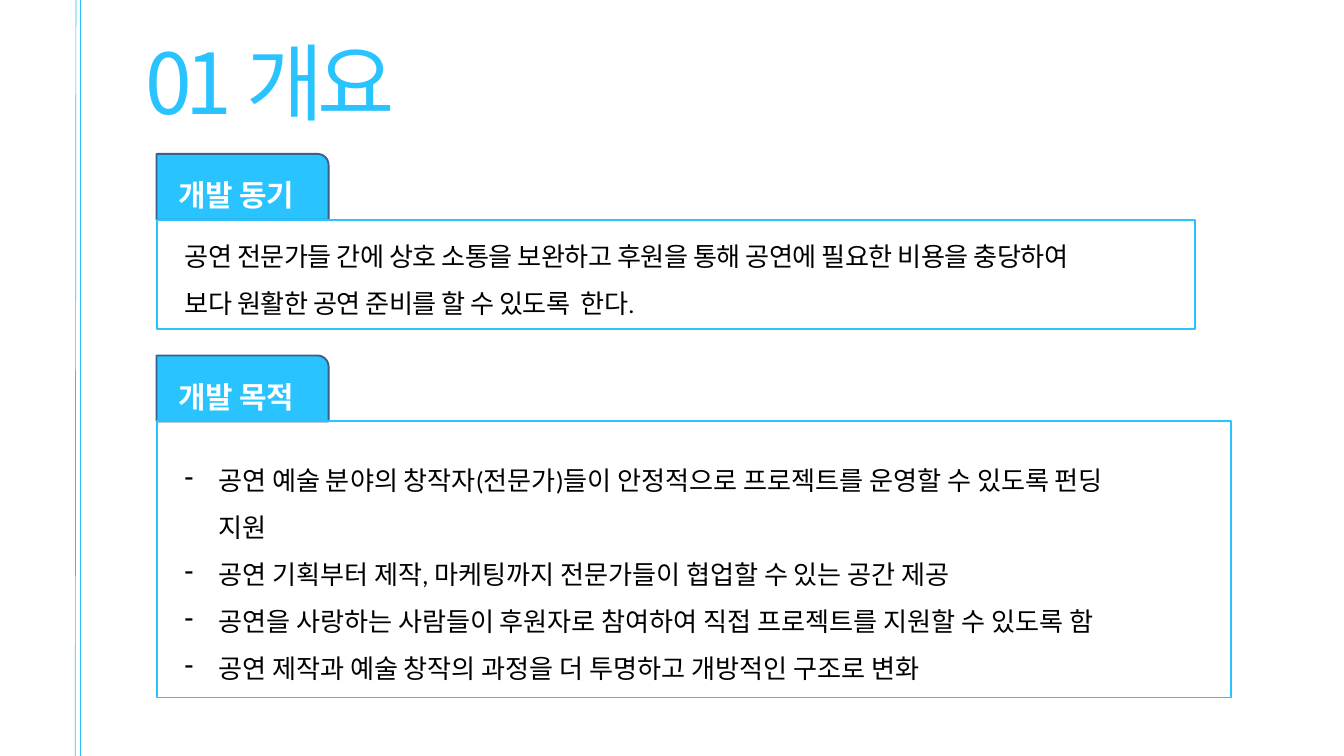
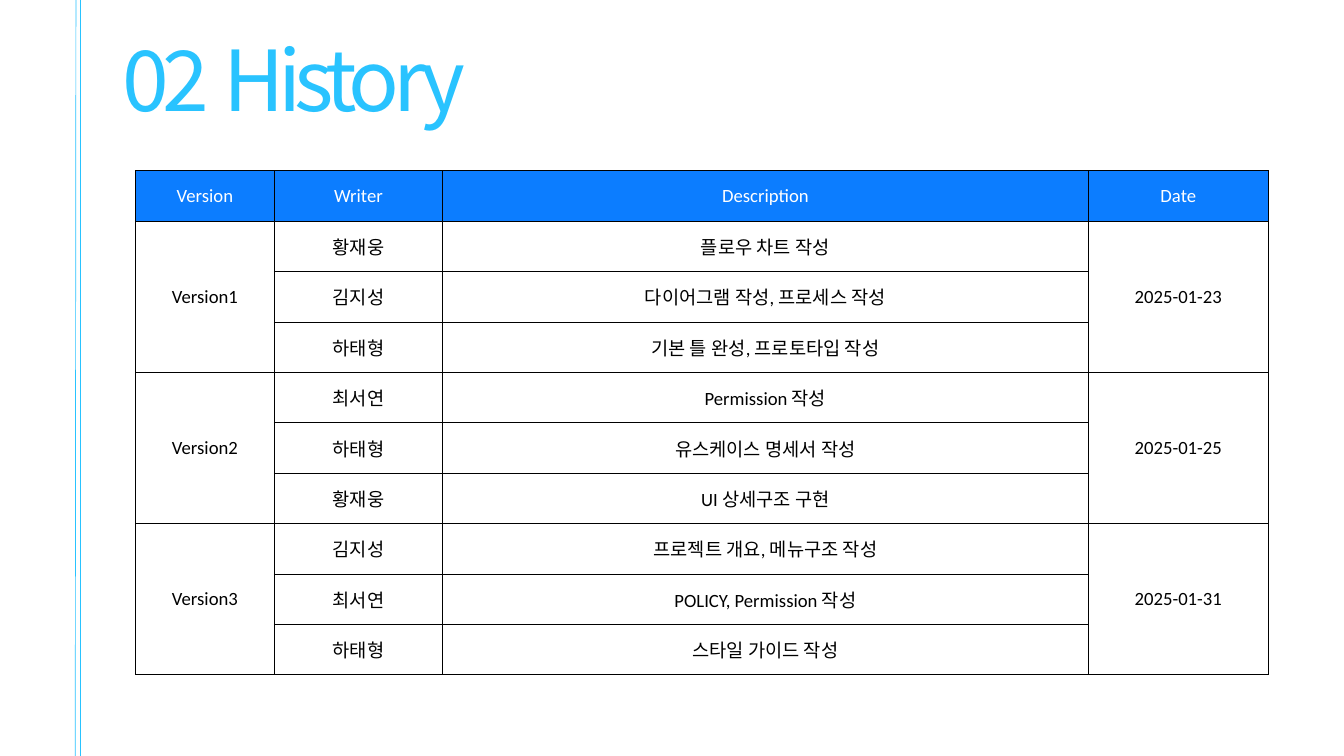
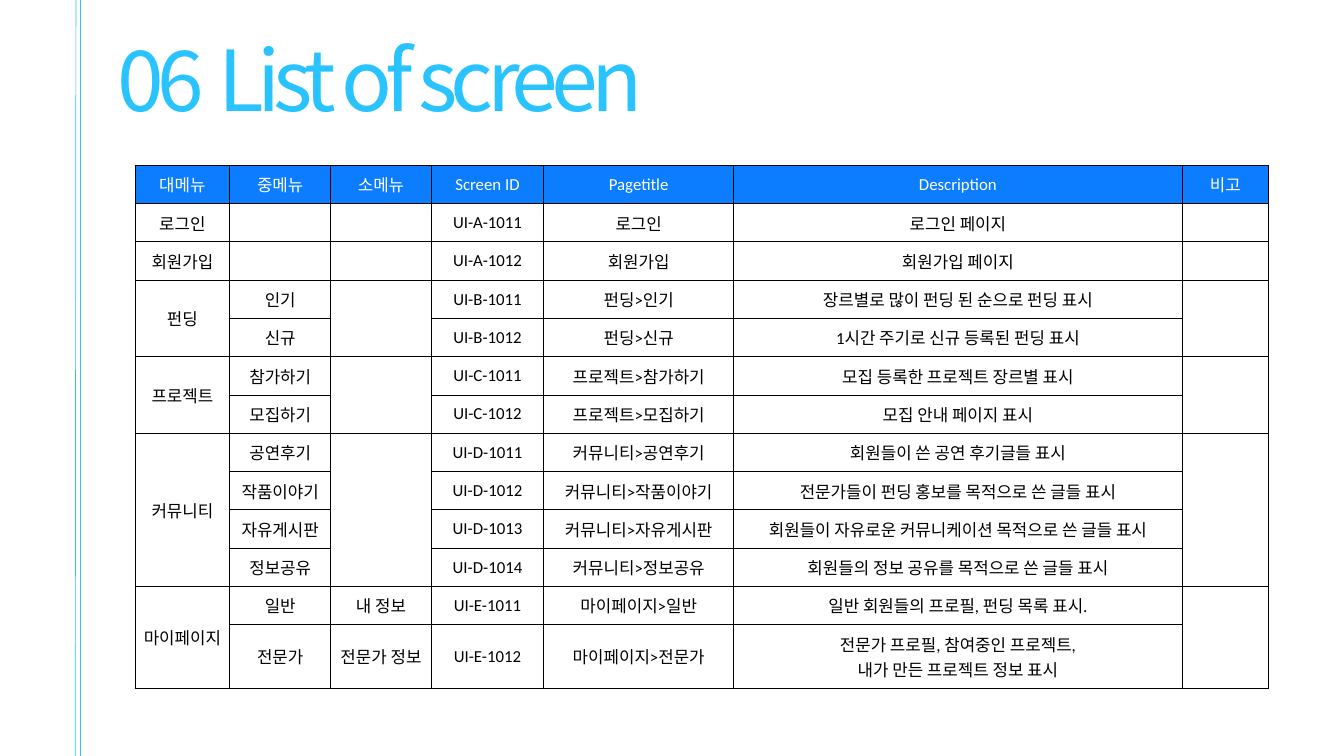
"""Build three project slides: overview, history and list of screens."""
import pptx
import pptx.dml.color
import pptx.enum.shapes
import pptx.enum.text
import pptx.oxml
import pptx.oxml.ns
import pptx.util
from lxml import etree

Inches = pptx.util.Inches
Pt = pptx.util.Pt
Shape = pptx.enum.shapes.MSO_SHAPE
qn = pptx.oxml.ns.qn

COLORS = {"sky": "29C3FF", "edge": "3A5F8C", "head": "0C7DFF",
          "ink": "000000", "white": "FFFFFF"}
FONTS = {"title": "Noto Sans CJK KR", "label": "Roboto", "body": "Calibri"}
RAILS = [(1.12, 1.13), (1.19, 1.19)]
WIDE, HIGH = 20, 11.25

SECTIONS = [
    {"label": "개발 동기", "top": 2.29, "size": (15.45, 1.63),
     "text": (2.65, 3.29, 14.81, 1.82), "font": "label", "track": -0.5, "bullet": None,
     "lines": ["공연 전문가들 간에 상호 소통을 보완하고 후원을 통해 공연에 필요한 비용을 충당하여",
               "보다 원활한 공연 준비를 할 수 있도록  한다."]},
    {"label": "개발 목적", "top": 5.29, "size": (15.99, 4.11),
     "text": (2.65, 6.63, 15.1, 4.11), "font": "body", "track": 0, "bullet": "-",
     "lines": ["공연 예술 분야의 창작자(전문가)들이 안정적으로 프로젝트를 운영할 수 있도록 펀딩\n지원",
               "공연 기획부터 제작, 마케팅까지 전문가들이 협업할 수 있는 공간 제공",
               "공연을 사랑하는 사람들이 후원자로 참여하여 직접 프로젝트를 지원할 수 있도록 함",
               "공연 제작과 예술 창작의 과정을 더 투명하고 개방적인 구조로 변화"]},
]

HISTORY = [
    ("Version", "Writer", "Description", "Date"),
    ("Version1", "황재웅", "플로우 차트 작성", "2025-01-23"),
    (None, "김지성", "다이어그램 작성, 프로세스 작성", None),
    (None, "하태형", "기본 틀 완성, 프로토타입 작성", None),
    ("Version2", "최서연", "Permission 작성", "2025-01-25"),
    (None, "하태형", "유스케이스 명세서 작성", None),
    (None, "황재웅", "UI 상세구조 구현", None),
    ("Version3", "김지성", "프로젝트 개요, 메뉴구조 작성", "2025-01-31"),
    (None, "최서연", "POLICY, Permission 작성", None),
    (None, "하태형", "스타일 가이드 작성", None),
]

SCREENS = [
    ("대메뉴", "중메뉴", "소메뉴", "Screen ID", "Pagetitle", "Description", "비고"),
    ("로그인", "", "", "UI-A-1011", "로그인", "로그인 페이지", ""),
    ("회원가입", "", "", "UI-A-1012", "회원가입", "회원가입 페이지", ""),
    ("펀딩", "인기", "", "UI-B-1011", "펀딩>인기", "장르별로 많이 펀딩 된 순으로 펀딩 표시", ""),
    (None, "신규", None, "UI-B-1012", "펀딩>신규", "1시간 주기로 신규 등록된 펀딩 표시", None),
    ("프로젝트", "참가하기", "", "UI-C-1011", "프로젝트>참가하기", "모집 등록한 프로젝트 장르별 표시", ""),
    (None, "모집하기", None, "UI-C-1012", "프로젝트>모집하기", "모집 안내 페이지 표시", None),
    ("커뮤니티", "공연후기", "", "UI-D-1011", "커뮤니티>공연후기", "회원들이 쓴 공연 후기글들 표시", ""),
    (None, "작품이야기", None, "UI-D-1012", "커뮤니티>작품이야기",
     "전문가들이 펀딩 홍보를 목적으로 쓴 글들 표시", None),
    (None, "자유게시판", None, "UI-D-1013", "커뮤니티>자유게시판",
     "회원들이 자유로운 커뮤니케이션 목적으로 쓴 글들 표시", None),
    (None, "정보공유", None, "UI-D-1014", "커뮤니티>정보공유",
     "회원들의 정보 공유를 목적으로 쓴 글들 표시", None),
    ("마이페이지", "일반", "내 정보", "UI-E-1011", "마이페이지>일반",
     "일반 회원들의 프로필, 펀딩 목록 표시.", ""),
    (None, "전문가", "전문가 정보", "UI-E-1012", "마이페이지>전문가",
     "전문가 프로필, 참여중인 프로젝트,\n내가 만든 프로젝트 정보 표시", None),
]


def paint(name):
    return pptx.dml.color.RGBColor.from_string(COLORS[name])


def add_run(para, text, size, font, color, bold=False, track=0):
    run = para.add_run()
    run.text = text
    run.font.size, run.font.bold = Pt(size), bold
    run.font.name = FONTS[font]
    run.font.color.rgb = paint(color)
    if track:
        run.font._element.set("spc", str(int(track * 100)))


def add_text(slide, box, lines, space, inset=None, bullet=None, **style):
    frame = slide.shapes.add_textbox(*map(Inches, box)).text_frame
    frame.word_wrap = True
    frame.auto_size = pptx.enum.text.MSO_AUTO_SIZE.SHAPE_TO_FIT_TEXT
    if inset is not None:
        frame.margin_left = frame.margin_right = Inches(inset)
        frame.margin_top = frame.margin_bottom = Inches(inset)
    for i, line in enumerate(lines):
        para = frame.add_paragraph() if i else frame.paragraphs[0]
        para.line_spacing = space
        if bullet:
            props = para._p.get_or_add_pPr()
            props.set("marL", str(Inches(0.5)))
            props.set("indent", str(-Inches(0.5)))
            etree.SubElement(props, qn("a:buChar")).set("char", bullet)
        for j, part in enumerate(line.split("\n")):
            if j:
                para.add_line_break()
            add_run(para, part, **style)


def add_box(slide, kind, box, fill, edge):
    shape = slide.shapes.add_shape(kind, *map(Inches, box))
    shape.shadow.inherit = False
    if fill:
        shape.fill.solid()
        shape.fill.fore_color.rgb = paint(fill)
    else:
        shape.fill.background()
    shape.line.color.rgb = paint(edge)
    shape.line.width = Pt(2)


def add_page(deck, num, title, left, top):
    slide = deck.slides.add_slide(deck.slide_layouts[6])
    for low, high in RAILS:
        rail = slide.shapes.add_connector(
            pptx.enum.shapes.MSO_CONNECTOR.STRAIGHT,
            Inches(low), Inches(HIGH), Inches(high), Inches(0))
        rail.line.color.rgb = paint("sky")
        rail.line.width = Pt(0.75)
        etree.SubElement(rail._element.spPr, qn("a:effectLst"))
    add_text(slide, (left, top, 12.77, 1.63), [f"{num}\t{title}"], Pt(126), inset=0,
             size=90, font="title", color="sky", track=-7.2)
    return slide


def add_section(slide, part):
    left, top = 2.33, part["top"]
    add_text(slide, part["text"], part["lines"], 1.5, bullet=part["bullet"],
             size=28, font=part["font"], color="ink", track=part["track"])
    add_box(slide, Shape.ROUND_1_RECTANGLE, (left, top, 2.56, 0.98), "sky", "edge")
    add_text(slide, (left + 0.33, top + 0.22, 1.9, 0.61), [part["label"]], Pt(46.9), inset=0,
             size=32, font="label", color="white", bold=True, track=-0.5)
    add_box(slide, Shape.RECTANGLE, (left, top + 0.98, *part["size"]), None, "sky")


def add_edges(cell):
    props = cell._tc.get_or_add_tcPr()
    for side in ("a:lnL", "a:lnR", "a:lnT", "a:lnB"):
        line = etree.SubElement(props, qn(side), w=str(Pt(1)))
        fill = etree.SubElement(line, qn("a:solidFill"))
        etree.SubElement(fill, qn("a:srgbClr"), val=COLORS["ink"])


def fill_cell(cell, text, head, size, inset):
    cell.margin_left = cell.margin_right = Inches(inset)
    cell.margin_top = cell.margin_bottom = 0
    cell.vertical_anchor = pptx.enum.text.MSO_ANCHOR.MIDDLE
    add_edges(cell)
    if head:
        cell.fill.solid()
        cell.fill.fore_color.rgb = paint("head")
    else:
        cell.fill.background()
    for i, line in enumerate((text or "").split("\n")):
        frame = cell.text_frame
        para = frame.add_paragraph() if i else frame.paragraphs[0]
        para.alignment = pptx.enum.text.PP_ALIGN.CENTER
        if line:
            add_run(para, line, size, "body", "white" if head else "ink")


def add_grid(slide, left, top, rows, cols, highs, size, inset):
    """Draw rows as a table; None joins a cell to the one above."""
    table = slide.shapes.add_table(
        len(rows), len(cols), Inches(left), Inches(top),
        Inches(sum(cols)), Inches(sum(highs))).table
    for col, wide in zip(table.columns, cols):
        col.width = Inches(wide)
    for row, high in zip(table.rows, highs):
        row.height = Inches(high)
    for r, row in enumerate(rows):
        for c, text in enumerate(row):
            cell = table.cell(r, c)
            last = r
            while text is not None and last + 1 < len(rows) and rows[last + 1][c] is None:
                last += 1
            if last > r:
                cell.merge(table.cell(last, c))
            fill_cell(cell, text, r == 0, size, inset)


def main():
    deck = pptx.Presentation()
    deck.slide_width, deck.slide_height = Inches(WIDE), Inches(HIGH)
    slide = add_page(deck, "01", "개요", 2.17, 0.21)
    for part in SECTIONS:
        add_section(slide, part)
    slide = add_page(deck, "02", "History", 1.83, 0.16)
    add_grid(slide, 2.02, 2.54, HISTORY, [2.06, 2.51, 9.6, 2.69],
             [0.75] * len(HISTORY), 20, 0.02)
    slide = add_page(deck, "06", "List of screen", 1.75, 0.16)
    add_grid(slide, 2.01, 2.46, SCREENS, [1.41, 1.5, 1.5, 1.67, 2.83, 6.67, 1.29],
             [0.57] * (len(SCREENS) - 1) + [0.95], 18, 0.01)
    deck.save("out.pptx")


if __name__ == "__main__":
    main()
